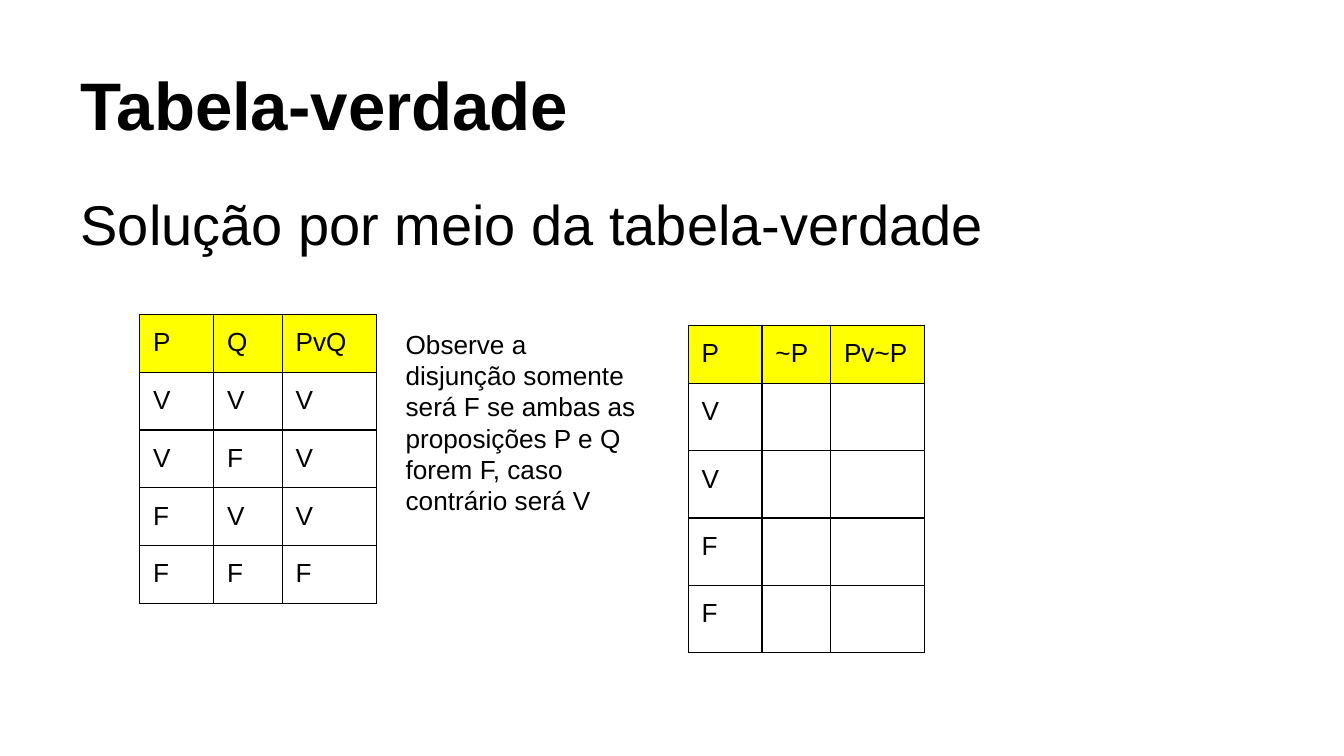
"""Build a slide with two truth tables for logical disjunction."""
from pptx import Presentation
from pptx import util as u
from pptx.dml.color import RGBColor
from pptx.enum import text
from pptx.oxml import parse_xml
from pptx.oxml.ns import nsdecls

BLACK = RGBColor(0x00, 0x00, 0x00)
YELLOW = RGBColor(0xFF, 0xFF, 0x00)
COLUMN_WIDTHS = [0.55, 0.51, 0.7]
ROW_HEIGHT = 0.43
FRAME_SIZE = 3.28


def write(frame, wording, size, bold=False):
    frame.word_wrap = True
    frame.margin_left = frame.margin_right = u.Inches(0.1)
    frame.margin_top = frame.margin_bottom = u.Inches(0.1)
    paragraph = frame.paragraphs[0]
    paragraph.alignment = text.PP_ALIGN.LEFT
    paragraph.space_before = u.Pt(0)
    run = paragraph.add_run()
    run.text = wording
    run.font.name = "Arial"
    run.font.size = u.Pt(size)
    run.font.bold = bold
    run.font.color.rgb = BLACK


def add_borders(cell):
    properties = cell._tc.get_or_add_tcPr()
    for side in ("lnL", "lnR", "lnT", "lnB"):
        properties.append(parse_xml(
            f'<a:{side} {nsdecls("a")} w="{u.Pt(0.75)}"><a:solidFill>'
            f'<a:srgbClr val="{BLACK}"/></a:solidFill></a:{side}>'))


presentation = Presentation()
presentation.slide_width = u.Inches(10)
presentation.slide_height = u.Inches(10) * 9 // 16
slide = presentation.slides.add_slide(presentation.slide_layouts[1])

title, body = slide.placeholders
for shape, top, height, anchor, wording, size, bold in [
    (title, 0.23, 0.94, text.MSO_ANCHOR.BOTTOM, "Tabela-verdade", 36, True),
    (body, 1.31, 4.07, text.MSO_ANCHOR.TOP,
     "Solução por meio da tabela-verdade", 30, False),
]:
    shape.left, shape.top = u.Inches(0.5), u.Inches(top)
    shape.width, shape.height = u.Inches(9), u.Inches(height)
    shape.text_frame.auto_size = text.MSO_AUTO_SIZE.NONE
    shape.text_frame.vertical_anchor = anchor
    write(shape.text_frame, wording, size, bold)

body_properties = body.text_frame.paragraphs[0]._p.get_or_add_pPr()
body_properties.set("marL", "0")
body_properties.set("indent", "0")
body_properties.append(parse_xml(f'<a:buNone {nsdecls("a")}/>'))

disjunction = [["P", "Q", "PvQ"], "VVV", "VFV", "FVV", "FFF"]
exercise = [["P", "~P", "Pv~P"]] + [[value, "", ""] for value in "VVFF"]

for left, top, rows in [(1.04, 2.34, disjunction), (5.12, 2.42, exercise)]:
    frame = slide.shapes.add_table(
        len(rows), len(COLUMN_WIDTHS), u.Inches(left), u.Inches(top),
        u.Inches(FRAME_SIZE), u.Inches(FRAME_SIZE))
    table = frame.table
    table.first_row = table.horz_banding = False
    for column, width in zip(table.columns, COLUMN_WIDTHS):
        column.width = u.Inches(width)
    for row_index, values in enumerate(rows):
        table.rows[row_index].height = u.Inches(ROW_HEIGHT)
        for column_index, value in enumerate(values):
            cell = table.cell(row_index, column_index)
            cell.margin_left = cell.margin_right = u.Inches(0.1)
            cell.margin_top = cell.margin_bottom = u.Inches(0.1)
            add_borders(cell)
            if row_index == 0:
                cell.fill.solid()
                cell.fill.fore_color.rgb = YELLOW
            else:
                cell.fill.background()
            paragraph = cell.text_frame.paragraphs[0]
            if value:
                run = paragraph.add_run()
                run.text = value
                run.font.name = "Arial"
                run.font.size = u.Pt(14)
                run.font.color.rgb = BLACK
            else:
                paragraph._p.append(parse_xml(
                    f'<a:endParaRPr {nsdecls("a")} sz="1800">'
                    '<a:latin typeface="Arial"/></a:endParaRPr>'))
    frame.width = frame.height = u.Inches(FRAME_SIZE)

    if rows is disjunction:
        note = slide.shapes.add_textbox(
            u.Inches(2.92), u.Inches(2.34), u.Inches(1.96), u.Inches(1.54))
        write(note.text_frame, "Observe a disjunção somente será F se ambas "
              "as proposições P e Q forem F, caso contrário será V", 14)

presentation.save("out.pptx")
